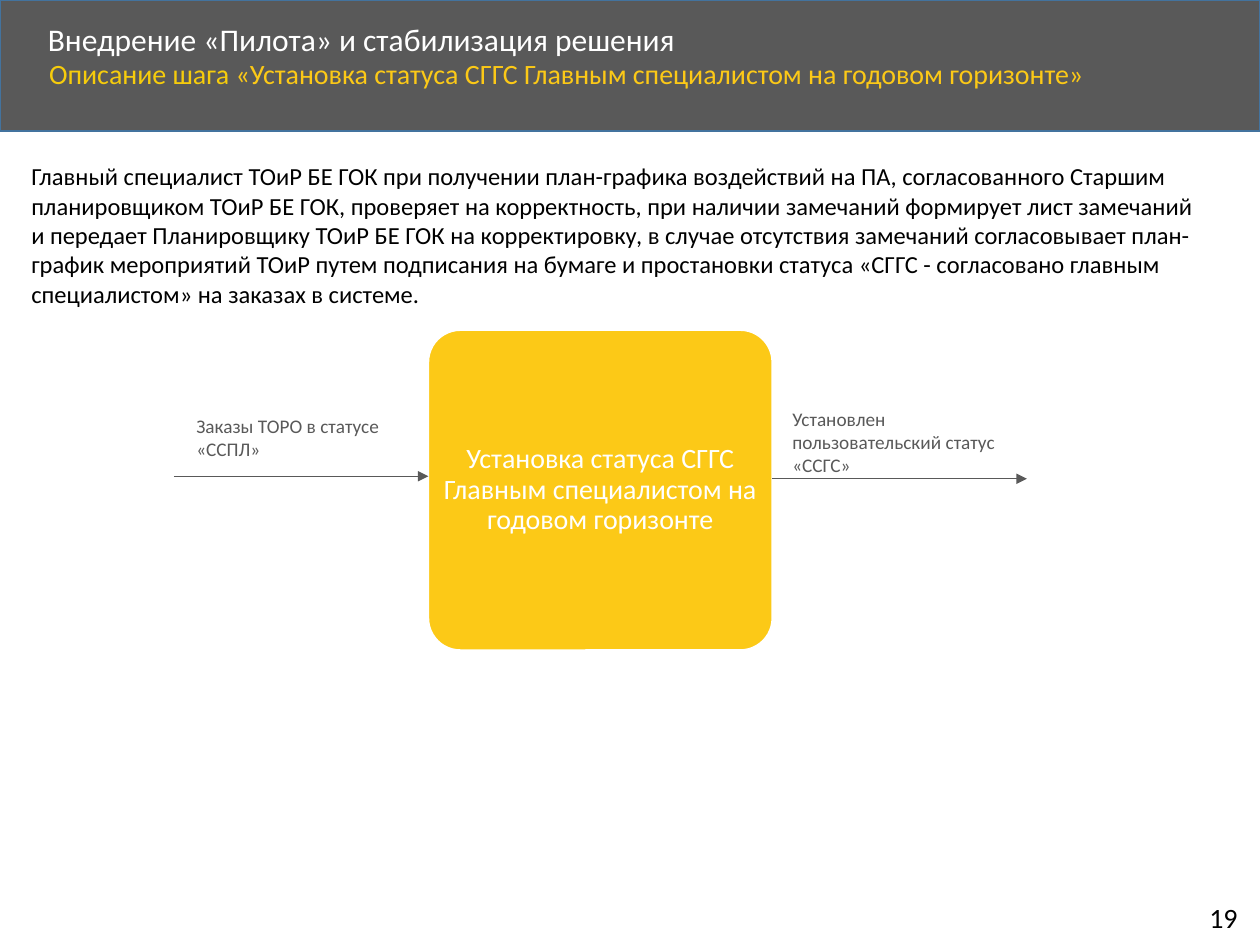
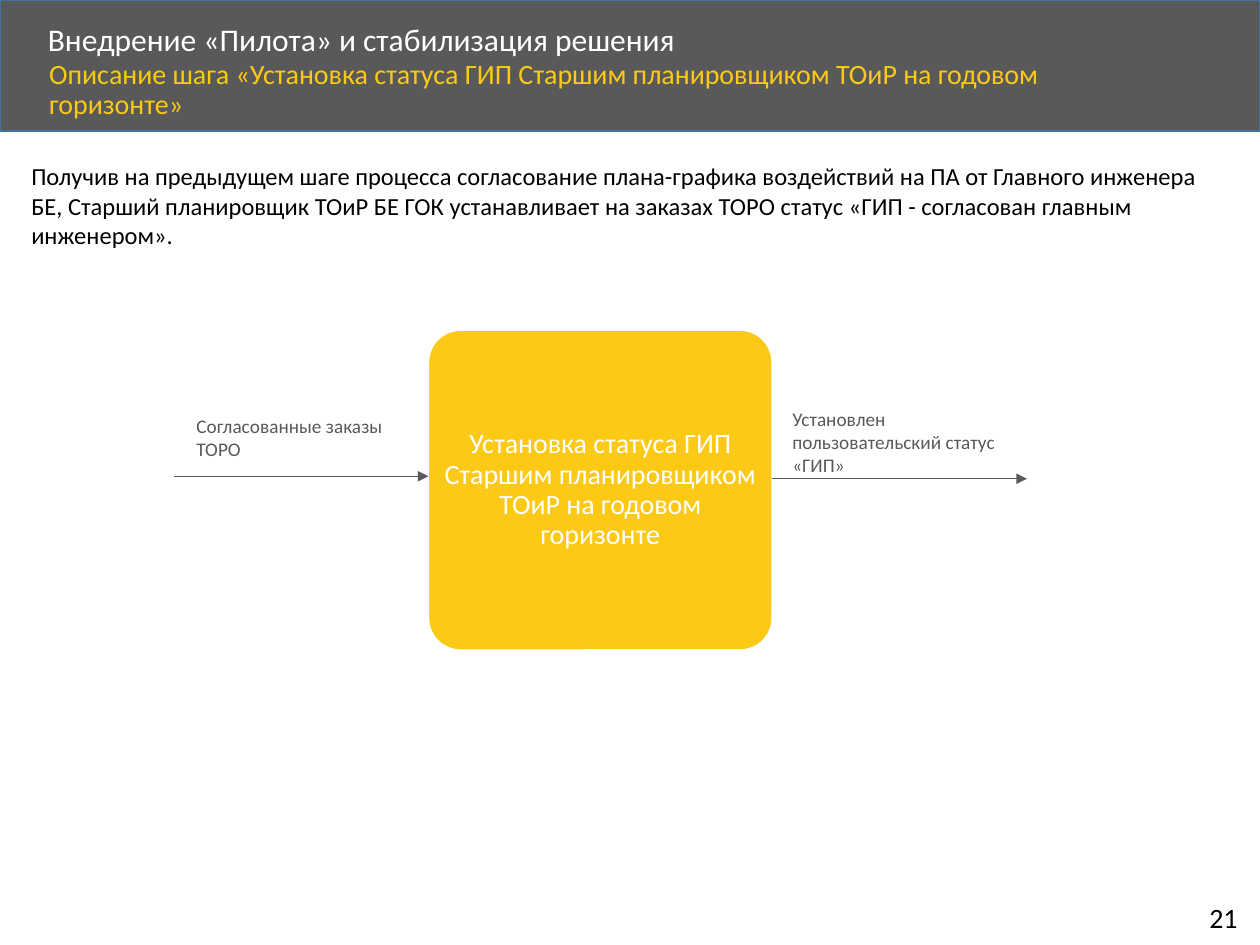
from dataclasses import dataclass

from lxml.etree import SubElement
from pptx import Presentation
from pptx.dml.color import RGBColor as RGB
from pptx.enum.shapes import MSO_CONNECTOR as CONN, MSO_SHAPE as SHAPE
from pptx.enum.text import MSO_ANCHOR as ANCHOR, MSO_AUTO_SIZE as FIT, PP_ALIGN as ALIGN
from pptx.oxml.ns import qn
from pptx.util import Inches, Pt


@dataclass(frozen=True)
class Theme:
    font: str = "Calibri"
    grey: RGB = RGB.from_string("595959")
    edge: RGB = RGB.from_string("43739E")
    yellow: RGB = RGB.from_string("FCC917")
    lead_yellow: RGB = RGB.from_string("F6CC0C")
    white: RGB = RGB.from_string("FFFFFF")
    black: RGB = RGB.from_string("000000")
    title: Pt = Pt(18)
    heading: Pt = Pt(16)
    body: Pt = Pt(14)
    label: Pt = Pt(11)


T = Theme()
WIDTH, HEIGHT = Inches(10), Inches(7.5)
COLS, ROWS = 100, 75

SECTION = "Внедрение «Пилота» и стабилизация решения"
STEPS = [
    dict(
        number="19",
        step="Установка статуса СГГС Главным специалистом на годовом горизонте",
        description="Главный специалист ТОиР БЕ ГОК при получении план-графика воздействий "
                    "на ПА, согласованного Старшим планировщиком ТОиР БЕ ГОК, проверяет на "
                    "корректность, при наличии замечаний формирует лист замечаний и передает "
                    "Планировщику ТОиР БЕ ГОК на корректировку, в случае отсутствия замечаний "
                    "согласовывает план-график мероприятий ТОиР путем подписания на бумаге и "
                    "простановки статуса «СГГС - согласовано главным специалистом» на заказах "
                    "в системе.",
        source="Заказы ТОРО в статусе «ССПЛ»",
        result="Установлен пользовательский статус «ССГС»",
    ),
    dict(
        number="21",
        step="Установка статуса ГИП Старшим планировщиком ТОиР на годовом горизонте",
        description="Получив на предыдущем шаге процесса согласование плана-графика "
                    "воздействий на ПА от Главного инженера БЕ, Старший планировщик ТОиР БЕ "
                    "ГОК устанавливает на заказах ТОРО статус «ГИП - согласован главным "
                    "инженером».",
        source="Согласованные заказы ТОРО",
        result="Установлен пользовательский статус «ГИП»",
    ),
]


def grid(col, row, cols, rows):
    """Turn grid cells into left, top, width and height."""
    return [round(n * size / count) for n, size, count in (
        (col, WIDTH, COLS), (row, HEIGHT, ROWS), (cols, WIDTH, COLS), (rows, HEIGHT, ROWS))]


def set_all(target, **values):
    for name, value in values.items():
        setattr(target, name, value)


def place(sp, cells):
    set_all(sp, **dict(zip(("left", "top", "width", "height"), grid(*cells))))


def write(sp, runs, size, anchor=ANCHOR.TOP, align=ALIGN.LEFT, spacing=1.0):
    """Fill a shape with one paragraph of (text, colour) runs."""
    tf = sp.text_frame
    set_all(tf, word_wrap=True, auto_size=FIT.NONE, vertical_anchor=anchor)
    p = tf.paragraphs[0]
    set_all(p, alignment=align, line_spacing=spacing, space_before=Pt(0))
    for text, color in runs:
        r = p.add_run()
        r.text = text
        set_all(r.font, name=T.font, size=size)
        r.font.color.rgb = color
    return p


def add_text(slide, cells, text, size, color):
    write(slide.shapes.add_textbox(*grid(*cells)), [(text, color)], size)


def add_box(slide, kind, cells, fill, line):
    sp = slide.shapes.add_shape(kind, *grid(*cells))
    sp.shadow.inherit = False
    sp.fill.solid()
    sp.fill.fore_color.rgb = fill
    sp.line.color.rgb = line
    sp.line.width = Pt(1)
    return sp


def add_arrow(slide, col, row, cols):
    x, y, length, _ = grid(col, row, cols, 0)
    line = slide.shapes.add_connector(CONN.STRAIGHT, x, y, x + length, y)
    line.line.color.rgb = T.grey
    line.line.width = Pt(0.5)
    SubElement(line.line._get_or_add_ln(), qn("a:tailEnd"), type="triangle")
    SubElement(line.element.spPr, qn("a:effectLst"))


def add_header(slide, step):
    band = add_box(slide, SHAPE.RECTANGLE, (0, 0, COLS, 10.4), T.grey, T.edge)
    slide.shapes.element.insert(2, band.element)  # behind the placeholders

    title, subtitle = slide.placeholders
    place(title, (2.8, 1.4, 80.7, 3.8))
    write(title, [(SECTION, T.white)], T.title, ANCHOR.MIDDLE, spacing=0.9)

    place(subtitle, (2.9, 4.3, 86.7, 4.5))
    p = write(subtitle, [("Описание шага ", T.lead_yellow), (f"«{step}»", T.yellow)],
              T.heading, spacing=0.9)
    pPr = p._p.get_or_add_pPr()
    set_no_bullet(pPr)


def set_no_bullet(pPr):
    pPr.set("marL", "0")
    pPr.set("indent", "0")
    SubElement(pPr, qn("a:buNone"))


def add_step_diagram(slide, step, source, result):
    left, width, reach = 34, 27.3, 20.2
    right = left + width
    sp = add_box(slide, SHAPE.ROUNDED_RECTANGLE, (left, 26.2, width, 25.4), T.yellow, T.white)
    sp.adjustments[0] = 0.1
    set_all(sp.text_frame, margin_left=0, margin_right=0, margin_top=0, margin_bottom=0)
    write(sp, [(step, T.white)], T.heading, ANCHOR.MIDDLE, ALIGN.CENTER, 0.9)

    add_arrow(slide, left - reach, 37.8, reach)
    add_arrow(slide, right, 38, reach)
    add_text(slide, (14.6, 32.4, 20, 4.7), source, T.label, T.grey)
    add_text(slide, (61.9, 31.8, 20, 6.6), result, T.label, T.grey)


def add_step_slide(prs, number, step, description, source, result):
    slide = prs.slides.add_slide(prs.slide_layouts.get_by_name("Title and Content"))
    add_header(slide, step)
    add_text(slide, (1.5, 12.3, 94.6, 12.8), description, T.body, T.black)
    add_step_diagram(slide, step, source, result)
    add_text(slide, (95, 71, 4.6, 3.7), number, T.heading, T.black)


def main():
    prs = Presentation()
    set_all(prs, slide_width=WIDTH, slide_height=HEIGHT)
    for content in STEPS:
        add_step_slide(prs, **content)
    prs.save("out.pptx")


if __name__ == "__main__":
    main()
